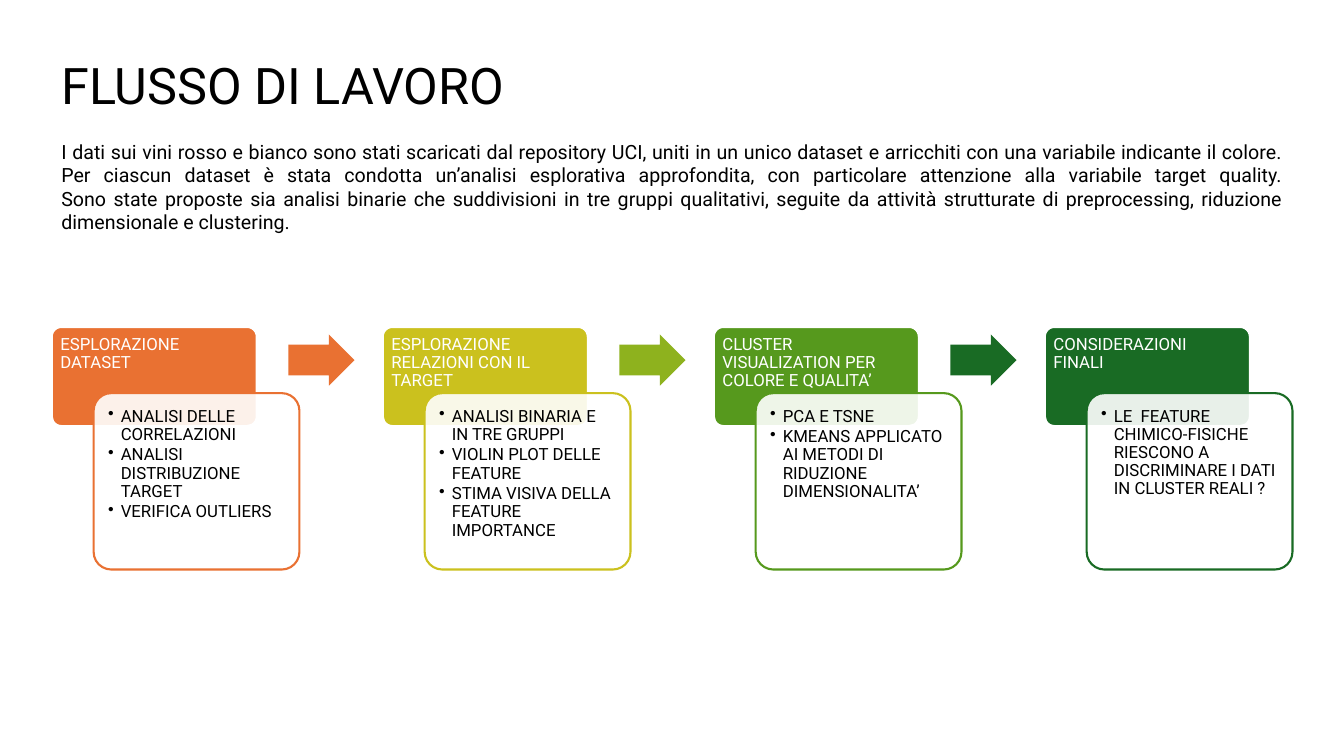
from lxml.etree import SubElement
from pptx import Presentation
from pptx.dml.color import RGBColor
from pptx.enum.shapes import MSO_SHAPE as Preset
from pptx.enum.text import MSO_ANCHOR as Anchor, MSO_AUTO_SIZE as AutoSize, PP_ALIGN as Align
from pptx.oxml.ns import qn
from pptx.util import Pt

WHITE = RGBColor(0xFF, 0xFF, 0xFF)
BLACK = RGBColor(0x00, 0x00, 0x00)
ORANGE = RGBColor(0xE9, 0x71, 0x32)
YELLOW = RGBColor(0xCB, 0xC1, 0x1E)
LIME = RGBColor(0x8E, 0xB2, 0x1E)
GREEN = RGBColor(0x56, 0x99, 0x1D)
DARK_GREEN = RGBColor(0x19, 0x6B, 0x24)

TITLE = "FLUSSO DI LAVORO"
INTRO = [
    "I dati sui vini rosso e bianco sono stati scaricati dal repository UCI, uniti in un unico "
    "dataset e arricchiti con una variabile indicante il colore. Per ciascun dataset è stata "
    "condotta un’analisi esplorativa approfondita, con particolare attenzione alla variabile "
    "target quality.",
    "Sono state proposte sia analisi binarie che suddivisioni in tre gruppi qualitativi, seguite "
    "da attività strutturate di preprocessing, riduzione dimensionale e clustering.",
]

# Each step: heading, its colour, colour of the arrow that follows, bullets
STEPS = [
    ("ESPLORAZIONE DATASET", ORANGE, ORANGE,
     ["ANALISI DELLE CORRELAZIONI", "ANALISI DISTRIBUZIONE TARGET", "VERIFICA OUTLIERS"]),
    ("ESPLORAZIONE RELAZIONI CON IL TARGET", YELLOW, LIME,
     ["ANALISI BINARIA E IN TRE GRUPPI", "VIOLIN PLOT DELLE FEATURE",
      "STIMA VISIVA DELLA FEATURE IMPORTANCE"]),
    ("CLUSTER VISUALIZATION PER COLORE E QUALITA’", GREEN, DARK_GREEN,
     ["PCA E TSNE", "KMEANS APPLICATO AI METODI DI RIDUZIONE DIMENSIONALITA’"]),
    ("CONSIDERAZIONI FINALI", DARK_GREEN, None,
     ["LE  FEATURE CHIMICO-FISICHE RIESCONO A DISCRIMINARE I DATI IN CLUSTER REALI ?"]),
]

LEFT, TOP = 36.7, 233.3
STEP_PITCH = 236.45


class FlowSlide:
    font_name = "Roboto"
    step_size = 12

    def __init__(self, slide):
        self.slide = slide

    def add_run(self, paragraph, text, size, color):
        run = paragraph.add_run()
        run.text = text
        run.font.name = self.font_name
        run.font.size = Pt(size)
        run.font.color.rgb = color

    def add_shape(self, preset, box, fill, adjustments, line=None, line_width=0):
        shape = self.slide.shapes.add_shape(preset, *map(Pt, box))
        shape.shadow.inherit = False
        for index, value in enumerate(adjustments):
            shape.adjustments[index] = value
        shape.fill.solid()
        shape.fill.fore_color.rgb = fill
        if line is None:
            shape.line.fill.background()
        else:
            shape.line.color.rgb = line
            shape.line.width = Pt(line_width)
        return shape

    def add_step_text(self, shape, texts, color, margin, bulleted=False):
        frame = shape.text_frame
        frame.word_wrap = True
        frame.vertical_anchor = Anchor.TOP
        frame.margin_left = frame.margin_right = Pt(margin)
        frame.margin_top = frame.margin_bottom = Pt(margin)
        for index, text in enumerate(texts):
            paragraph = frame.add_paragraph() if index else frame.paragraphs[0]
            paragraph.alignment = Align.LEFT
            paragraph.line_spacing = 0.9
            if bulleted:
                paragraph.space_after = Pt(1.8)
                properties = paragraph._p.get_or_add_pPr()
                properties.set("marL", str(Pt(9)))
                properties.set("indent", str(Pt(-9)))
                SubElement(properties, qn("a:buChar"), char="•")
            self.add_run(paragraph, text, self.step_size, color)

    def add_heading(self, left, text, color):
        shape = self.add_shape(Preset.ROUNDED_RECTANGLE, (left, TOP, 147, 71.3),
                               color, [0.1], WHITE, 2)
        self.add_step_text(shape, [text], WHITE, 4.3)

    def add_card(self, left, bullets, color):
        shape = self.add_shape(Preset.ROUNDED_RECTANGLE, (left + 30.2, TOP + 47.5, 147, 126),
                               WHITE, [0.1], color, 1.5)
        solid_color = shape.fill._xPr.find(qn("a:solidFill"))[0]
        SubElement(solid_color, qn("a:alpha"), val="90000")
        self.add_step_text(shape, bullets, BLACK, 6.7, bulleted=True)

    def add_arrow(self, left, color):
        self.add_shape(Preset.RIGHT_ARROW, (left + 169.2, TOP + 4.6 + 1, 47.3, 36.6),
                       color, [0.6, 0.5])

    def add_intro(self, title, lines):
        box = self.slide.shapes.add_textbox(Pt(LEFT), Pt(35.3), Pt(887), Pt(136.8))
        frame = box.text_frame
        frame.word_wrap = True
        frame.auto_size = AutoSize.SHAPE_TO_FIT_TEXT
        self.add_run(frame.paragraphs[0], title, 36, BLACK)
        paragraph = frame.add_paragraph()
        paragraph.alignment = Align.JUSTIFY
        paragraph.space_before = Pt(17.6)
        for index, line in enumerate(lines):
            if index:
                paragraph.add_line_break()
            self.add_run(paragraph, line, 14, BLACK)


def main():
    presentation = Presentation()
    presentation.slide_width, presentation.slide_height = Pt(960), Pt(540)
    flow = FlowSlide(presentation.slides.add_slide(presentation.slide_layouts[6]))

    # Workflow steps
    for index, (heading, color, arrow_color, bullets) in enumerate(STEPS):
        left = LEFT + index * STEP_PITCH
        flow.add_heading(left, heading, color)
        flow.add_card(left, bullets, color)
        if arrow_color is not None:
            flow.add_arrow(left, arrow_color)

    # Title and introduction
    flow.add_intro(TITLE, INTRO)

    presentation.save("out.pptx")


if __name__ == "__main__":
    main()
